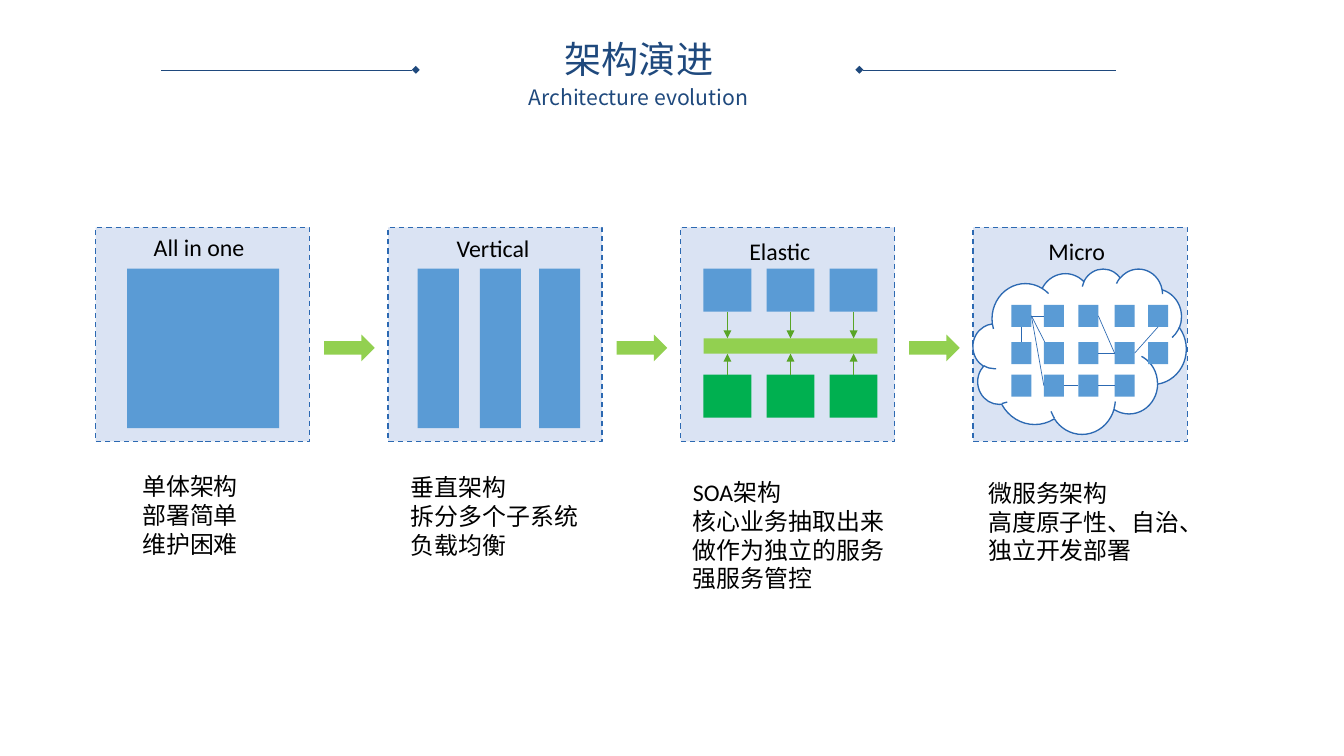
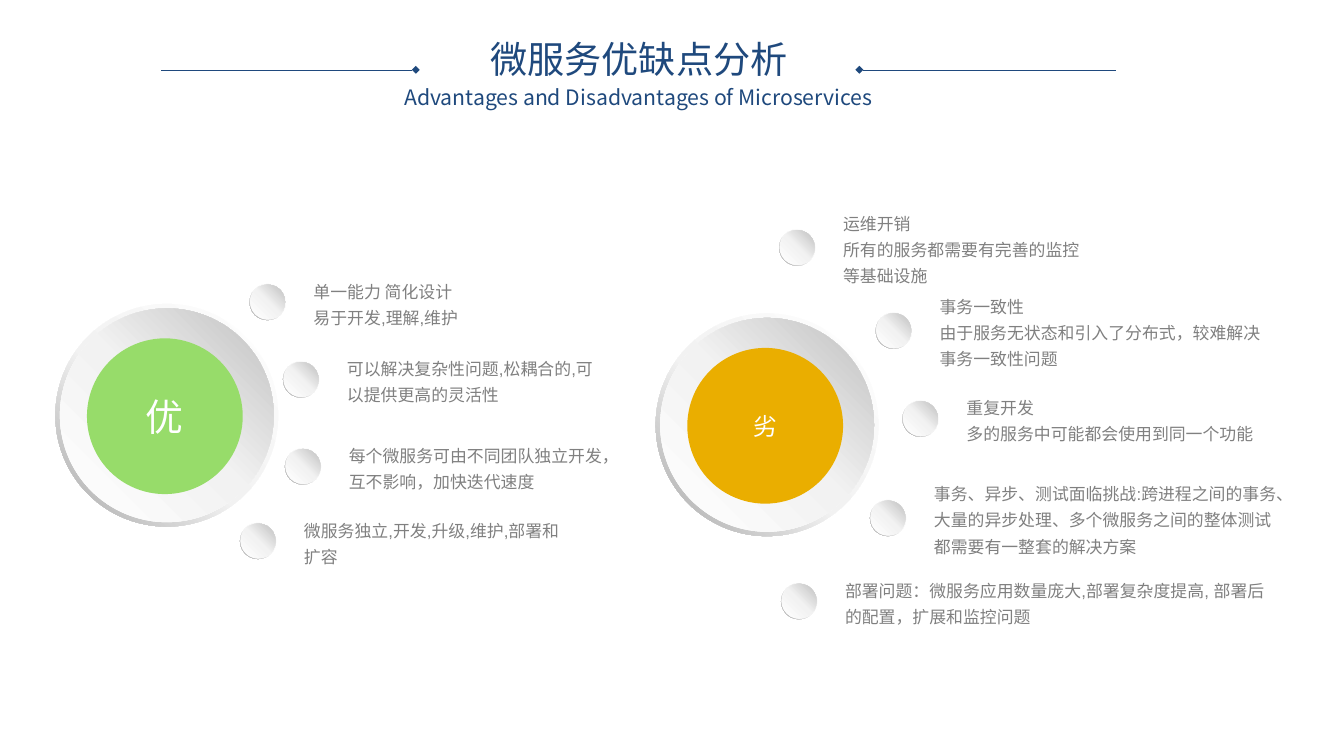
from lxml.etree import SubElement
from pptx import Presentation
from pptx.dml.color import RGBColor
from pptx.enum.dml import MSO_LINE_DASH_STYLE as Dash
from pptx.enum.shapes import MSO_CONNECTOR as Conn, MSO_SHAPE as Shape
from pptx.enum.text import MSO_ANCHOR as Anchor, MSO_AUTO_SIZE as Fit, PP_ALIGN as Align
from pptx.oxml.ns import qn
from pptx.util import Inches, Pt

COLS, ROWS = 14.06, 7.91
HUES = {
    "navy": "1F497D", "pale": "DAE3F3", "edge": "2C69B2", "blue": "5A9BD5",
    "green": "00B050", "lime": "92D050", "leaf": "58A527", "white": "FFFFFF",
    "black": "000000", "gray": "808080", "fresh": "97DC6A", "gold": "EAAE00",
}
RING = [(0, "FFFFFF"), (55, "F2F2F2"), (100, "A6A6A6")]
DISC = [(0, "FFFFFF"), (51, "F2F2F2"), (100, "BFBFBF")]
TOP, BOTTOM, LEFT, RIGHT = 0, 2, 1, 3
SIDE, STEP = 2.24, 3.06
HOME = (1, 2.38)

PANELS = [
    ("All in one", (0.51, 0, 1.22), (0.39, 2.51, 1.21, 1.01), False,
     ["单体架构", "部署简单", "维护困难"]),
    ("Vertical", (0.62, 0.01, 1), (0.14, 2.52, 1.97, 1.01), False,
     ["垂直架构", "拆分多个子系统", "负载均衡"]),
    ("Elastic", (0.62, 0.05, 0.86), (0.03, 2.57, 2.24, 1.31), True,
     ["SOA架构", "核心业务抽取出来", "做作为独立的服务", "强服务管控"]),
    ("Micro", (0.69, 0.05, 0.8), (0.06, 2.58, 2.28, 1.01), True,
     ["微服务架构", "高度原子性、自治、独立开发部署"]),
]
LINKS = [
    ((0, 0), BOTTOM, (1, 0), TOP), ((0, 0), RIGHT, (0, 1), LEFT),
    ((0, 0), RIGHT, (2, 1), LEFT), ((0, 2), RIGHT, (1, 3), LEFT),
    ((0, 4), BOTTOM, (1, 3), RIGHT), ((1, 2), RIGHT, (1, 3), LEFT),
    ((2, 1), RIGHT, (2, 2), LEFT), ((2, 2), RIGHT, (2, 3), LEFT),
]
PROS = [
    (2.03, -0.21, 2.13, 2, ["单一能力 简化设计", "易于开发,理解,维护"]),
    (2.38, 0.6, 2.85, 2, ["可以解决复杂性问题,松耦合的,可以提供更高的灵活性"]),
    (2.4, 1.51, 2.94, 2, ["每个微服务可由不同团队独立开发，互不影响，加快迭代速度"]),
    (1.93, 2.29, 2.94, 2, ["微服务独立,开发,升级,维护,部署和扩容"]),
]
CONS = [
    (1.29, -0.88, 2.8, 3, ["运维开销", "所有的服务都需要有完善的监控等基础设施"]),
    (2.3, -0.01, 3.63, 3, ["事务一致性", "由于服务无状态和引入了分布式，较难解决事务一致性问题"]),
    (2.58, 0.91, 3.45, 2, ["重复开发", "多的服务中可能都会使用到同一个功能"]),
    (2.24, 1.95, 3.92, 3,
     ["事务、异步、测试面临挑战:跨进程之间的事务、大量的异步处理、多个微服务之间的整体测试都需要有一整套的解决方案"]),
    (1.31, 2.82, 4.68, 2, ["部署问题：微服务应用数量庞大,部署复杂度提高, 部署后的配置，扩展和监控问题"]),
]


def hue(name):
    return RGBColor.from_string(HUES[name])


def cells(*nums):
    return [Inches(n) for n in nums]


def style(para, size, face, tone):
    font = para.font
    font.size, font.name, font.color.rgb = Pt(size), face, hue(tone)


def block(parts, kind, x, y, w, h, fill=None, edge=None):
    item = parts.add_shape(kind, *cells(x, y, w, h))
    item.shadow.inherit = False
    if fill:
        item.fill.solid()
        item.fill.fore_color.rgb = hue(fill)
    if edge:
        item.line.color.rgb = hue(edge)
        item.line.width = Pt(1)
    else:
        item.line.fill.background()
    return item


def wire(parts, start, end, tone, width=0.5, head=None, tail=None):
    line = parts.add_connector(Conn.STRAIGHT, *cells(*start, *end))
    line.line.color.rgb = hue(tone)
    line.line.width = Pt(width)
    props = line._element.spPr
    for tag, tip in (("a:headEnd", head), ("a:tailEnd", tail)):
        if tip:
            SubElement(props.find(qn("a:ln")), qn(tag)).set("type", tip)
    SubElement(props, qn("a:effectLst"))
    return line


def note(parts, x, y, w, h, lines, size, face, tone, wrap=True, gap=None):
    frame = parts.add_textbox(*cells(x, y, w, h)).text_frame
    frame.word_wrap = wrap
    frame.auto_size = Fit.SHAPE_TO_FIT_TEXT
    frame.text = "\n".join(lines)
    for para in frame.paragraphs:
        style(para, size, face, tone)
        if gap:
            para.line_spacing = gap
    return frame


def shade(item, stops, angle):
    item.fill.gradient()
    item.fill.gradient_angle = 360 - angle
    ramp = item._element.spPr.find(qn("a:gradFill")).find(qn("a:gsLst"))
    for old in list(ramp):
        ramp.remove(old)
    for pos, code in stops:
        stop = SubElement(ramp, qn("a:gs"))
        stop.set("pos", str(pos * 1000))
        SubElement(stop, qn("a:srgbClr")).set("val", code)


def header(deck, title, sub):
    slide = deck.slides.add_slide(deck.slide_layouts[0])
    for start, end in ((4.35, 1.68), (8.99, 11.67)):
        wire(slide.shapes, (start, 0.73), (end, 0.73), "navy", 0.25, head="diamond")
    rows = (
        (slide.shapes.title, title, (3.62, 0.41, 6.13, 0.47), 28, "Arial"),
        (slide.placeholders[1], sub, (4.1, 0.8, 5.16, 0.47), 16, "Noto Sans CJK SC"),
    )
    for item, text, place, size, face in rows:
        item.left, item.top, item.width, item.height = cells(*place)
        frame = item.text_frame
        frame.text = text
        frame.auto_size = Fit.NONE
        frame.word_wrap = True
        frame.vertical_anchor = Anchor.MIDDLE
        para = frame.paragraphs[0]
        para.alignment = Align.CENTER
        para.line_spacing = 0.9
        para.space_before = Pt(10)
        style(para, size, face, "navy")
    return slide.shapes


def mono(parts, x, y):
    block(parts, Shape.RECTANGLE, x + 0.33, y + 0.43, 1.59, 1.67, "blue")


def split(parts, x, y):
    for dx in (0.31, 0.96, 1.58):
        block(parts, Shape.RECTANGLE, x + dx, y + 0.43, 0.43, 1.67, "blue")


def elastic(parts, x, y):
    bus = block(parts, Shape.RECTANGLE, x + 0.24, y + 1.16, 1.82, 0.16, "lime")
    tiers = ((0.43, "blue", BOTTOM, 0.88, 1.16, TOP),
             (1.54, "green", TOP, 1.54, 1.32, BOTTOM))
    for top, tone, side, start, end, dock in tiers:
        for i in range(3):
            left = x + 0.24 + 0.66 * i
            mid = left + 0.25
            node = block(parts, Shape.RECTANGLE, left, y + top, 0.5, 0.45, tone)
            line = wire(parts, (mid, y + start), (mid, y + end), "leaf", tail="triangle")
            line.begin_connect(node, side)
            if i == 1:
                line.end_connect(bus, dock)


def micro(parts, x, y):
    block(parts, Shape.CLOUD, x, y + 0.43, 2.23, 1.73, "white", "edge")
    nodes = {}
    for row, (dy, count) in enumerate(((0.81, 5), (1.2, 5), (1.54, 4))):
        for col, dx in enumerate((0.4, 0.74, 1.1, 1.48, 1.83)[:count]):
            nodes[row, col] = block(parts, Shape.RECTANGLE, x + dx, y + dy, 0.21, 0.23, "blue")
    for one, out, two, into in LINKS:
        line = wire(parts, (x, y), (x, y), "edge")
        line.begin_connect(nodes[one], out)
        line.end_connect(nodes[two], into)
    stray = wire(parts, (x + 0.61, y + 0.93), (x + 0.75, y + 1.2), "edge")
    stray.begin_connect(nodes[0, 0], RIGHT)


def panel(parts, x, y, draw, name, spot, place, wrap, lines):
    frame = block(parts, Shape.RECTANGLE, x, y, SIDE, SIDE, "pale", "edge")
    frame.line.dash_style = Dash.DASH
    draw(parts, x, y)
    dx, dy, w = spot
    note(parts, x + dx, y + dy, w, 0.4, [name], 18, "Calibri", "black", False)
    dx, dy, w, h = place
    note(parts, x + dx, y + dy, w, h, lines, 18, "Calibri", "black", wrap)


def ball(parts, x, y, size):
    group = parts.add_group_shape().shapes
    ring = block(group, Shape.DONUT, x, y, size, size)
    ring.adjustments[0] = 0.049
    shade(ring, RING, 135)
    inset = 0.02 * size
    disc = block(group, Shape.OVAL, x + inset, y + inset, 0.96 * size, 0.96 * size)
    shade(disc, DISC, 315)


def wheel(parts, x, y, word, size, tone, items):
    ball(parts, x, y, 2.33)
    core = block(parts, Shape.OVAL, x + 0.33, y + 0.36, 1.63, 1.63, tone)
    frame = core.text_frame
    frame.text = word
    frame.vertical_anchor = Anchor.MIDDLE
    para = frame.paragraphs[0]
    para.alignment = Align.CENTER
    style(para, size, "Arial", "white")
    for dx, dy, w, count, lines in items:
        ball(parts, x + dx, y + dy, 0.38)
        h = 0.1 + 0.28 * count
        text = note(parts, x + dx + 0.56, y + dy + 0.19 - h / 2, w, h,
                    lines, 12.7, "Arial", "gray", gap=1.3)
        text.margin_left = text.margin_right = Inches(0.11)


def growth(deck):
    parts = header(deck, "架构演进", "Architecture evolution")
    x, y = HOME
    for i, (draw, data) in enumerate(zip((mono, split, elastic, micro), PANELS)):
        left = x + STEP * i
        panel(parts, left, y, draw, *data)
        if i < len(PANELS) - 1:
            block(parts, Shape.RIGHT_ARROW, left + 2.39, y + 1.12, 0.53, 0.28, "lime")


def review(deck):
    parts = header(deck, "微服务优缺点分析", "Advantages and Disadvantages of Microservices")
    wheel(parts, 0.58, 3.18, "优", 28.5, "fresh", PROS)
    wheel(parts, 6.86, 3.28, "劣", 18, "gold", CONS)


def main():
    deck = Presentation()
    deck.slide_width, deck.slide_height = cells(COLS, ROWS)
    growth(deck)
    review(deck)
    deck.save("out.pptx")


if __name__ == "__main__":
    main()
